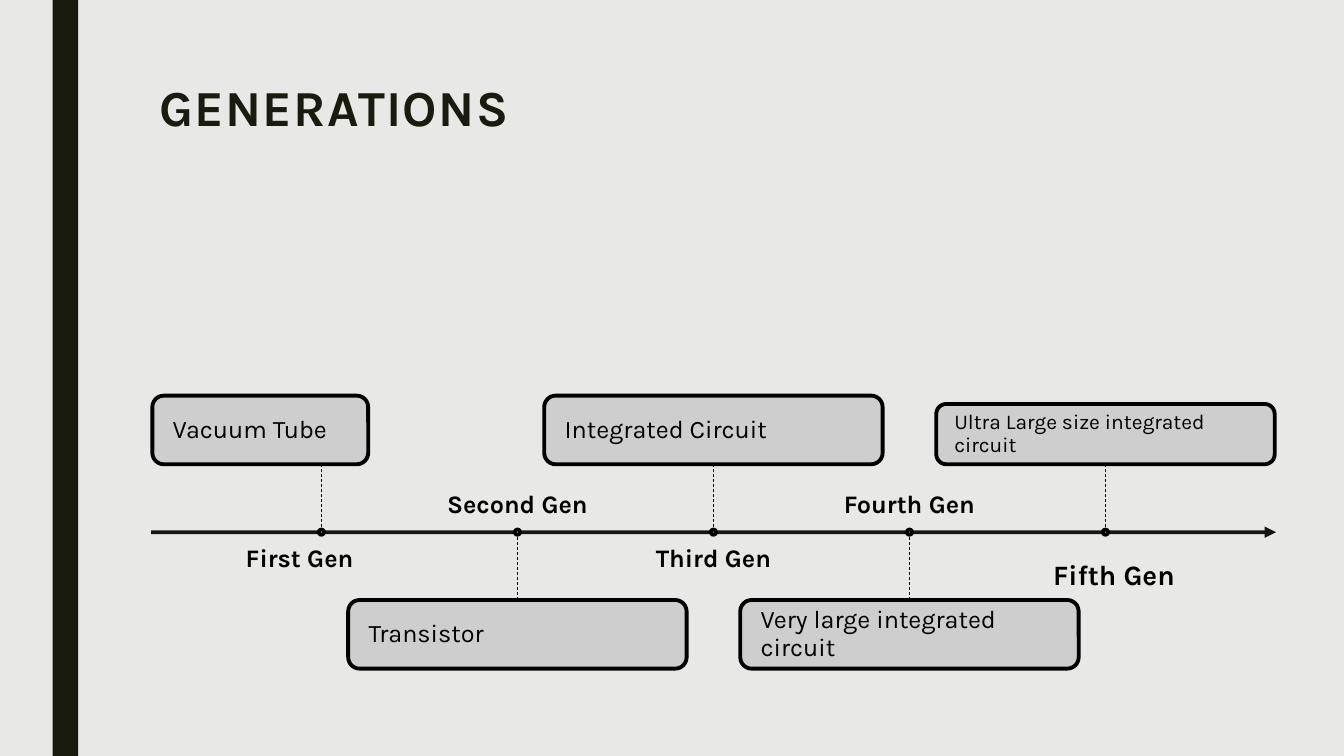
from lxml import etree
from pptx import Presentation
from pptx.dml.color import RGBColor
from pptx.enum.dml import MSO_LINE
from pptx.enum.shapes import MSO_CONNECTOR, MSO_SHAPE
from pptx.enum.text import MSO_ANCHOR, PP_ALIGN
from pptx.oxml.ns import qn
from pptx.util import Cm, Pt

RECTANGLE, ROUNDED, OVAL = MSO_SHAPE.RECTANGLE, MSO_SHAPE.ROUNDED_RECTANGLE, MSO_SHAPE.OVAL
TOP, MIDDLE, BOTTOM = MSO_ANCHOR.TOP, MSO_ANCHOR.MIDDLE, MSO_ANCHOR.BOTTOM
LEFT, CENTER = PP_ALIGN.LEFT, PP_ALIGN.CENTER
DASH = MSO_LINE.DASH
STRAIGHT = MSO_CONNECTOR.STRAIGHT

COLORS = {"background": "E8E8E7", "dark": "191B0E", "black": "000000",
          "box": "CCCCCC", "white": "FFFFFF"}

# Timeline geometry in centimetres
AXIS_LEFT, AXIS_RIGHT, AXIS_Y = 3.81, 32.16, 13.41
FIRST_X, STEP = 8.1, 4.94
STEM = 1.71
BOX_WIDTH, BOX_HEIGHT = 8.53, 1.73
LABEL_WIDTH, LABEL_HEIGHT, LABEL_GAP = 7.5, 1.02, 0.34
DOT = 0.13

# Label, box text, and values that differ from the standard box
GENERATIONS = [
    ("First Gen", "Vacuum Tube", {"left": 3.84, "width": 5.44}),
    ("Second Gen", "Transistor", {}),
    ("Third Gen", "Integrated Circuit", {}),
    ("Fourth Gen", "Very large integrated circuit", {}),
    ("Fifth Gen", "Ultra Large size integrated circuit",
     {"height": 1.52, "size": 15, "inset": 0.38}),
]


class TimelineSlide:
    font_name = "Karla"
    line_width = 2.75

    def __init__(self, presentation):
        self.slide = presentation.slides.add_slide(presentation.slide_layouts[6])
        self.shapes = self.slide.shapes
        self.paint(self.slide.background.fill, "background")

    def paint(self, fill, color, alpha=None):
        fill.solid()
        fill.fore_color.rgb = RGBColor.from_string(COLORS[color])
        if alpha:
            color_element = fill._xPr.find(".//" + qn("a:srgbClr"))
            etree.SubElement(color_element, qn("a:alpha"), val=str(alpha * 1000))

    def fill_text(self, shape, text, size=18, bold=False, color="black", align=LEFT,
                  anchor=TOP, inset=0.0, spacing=0.9, tracking=None):
        frame = shape.text_frame
        margins = dict.fromkeys(
            ("margin_left", "margin_right", "margin_top", "margin_bottom"), Cm(inset))
        for name, value in {"word_wrap": True, "vertical_anchor": anchor, **margins}.items():
            setattr(frame, name, value)
        paragraph = frame.paragraphs[0]
        paragraph.alignment = align
        paragraph.line_spacing = spacing
        run = paragraph.add_run()
        run.text = text
        font_values = {"name": self.font_name, "size": Pt(size), "bold": bold}
        for name, value in font_values.items():
            setattr(run.font, name, value)
        self.paint(run.font.fill, color)
        if tracking:
            run.font._element.set("spc", str(tracking * 100))

    def text(self, left, top, width, height, text, **style):
        shape = self.shapes.add_textbox(Cm(left), Cm(top), Cm(width), Cm(height))
        self.fill_text(shape, text, **style)

    def shape(self, kind, left, top, width, height, fill, alpha=None, outlined=True):
        shape = self.shapes.add_shape(kind, Cm(left), Cm(top), Cm(width), Cm(height))
        shape.shadow.inherit = False
        self.paint(shape.fill, fill, alpha)
        if outlined:
            self.paint(shape.line.fill, "black")
            shape.line.width = Pt(self.line_width)
        else:
            shape.line.fill.background()
        return shape

    def line(self, start, end, width, alpha=None, dash=None, arrow=False):
        connector = self.shapes.add_connector(STRAIGHT, *map(Cm, start + end))
        self.paint(connector.line.fill, "black", alpha)
        connector.line.width = Pt(width)
        if dash:
            connector.line.dash_style = dash
        properties = connector._element.spPr
        if arrow:
            etree.SubElement(properties.find(qn("a:ln")), qn("a:tailEnd"), type="triangle")
        etree.SubElement(properties, qn("a:effectLst"))

    def box(self, center, above, text, left=None, width=BOX_WIDTH, height=BOX_HEIGHT,
            size=18, inset=0.43):
        if left is None:
            left = center - width / 2
        top = AXIS_Y - STEM - height if above else AXIS_Y + STEM
        shape = self.shape(ROUNDED, left, top, width, height, "box", alpha=90)
        self.fill_text(shape, text, size=size, inset=inset, anchor=MIDDLE)

    def label(self, center, below, text):
        top = AXIS_Y + LABEL_GAP if below else AXIS_Y - LABEL_GAP - LABEL_HEIGHT
        self.text(center - LABEL_WIDTH / 2, top, LABEL_WIDTH, LABEL_HEIGHT, text,
                  bold=True, align=CENTER, anchor=TOP if below else BOTTOM)


def main():
    presentation = Presentation()
    presentation.slide_width, presentation.slide_height = Cm(33.87), Cm(19.05)
    timeline = TimelineSlide(presentation)

    # Side bar and title
    timeline.shape(RECTANGLE, 1.33, 0, 0.64, 19.05, "dark", outlined=False)
    timeline.text(3.81, 1.9, 12.95, 6.6, "GENERATIONS", size=36, bold=True,
                  color="dark", inset=0.2, spacing=0.89, tracking=1)

    # Time axis
    timeline.line((AXIS_LEFT, AXIS_Y), (AXIS_RIGHT, AXIS_Y), timeline.line_width,
                  alpha=90, arrow=True)

    # Generations, alternating above and below the axis
    for index, (label, text, box_values) in enumerate(GENERATIONS):
        center = FIRST_X + index * STEP
        above = index % 2 == 0
        timeline.box(center, above, text, **box_values)
        stem_end = AXIS_Y - STEM if above else AXIS_Y + STEM
        timeline.line((center, AXIS_Y), (center, stem_end), 0.5, dash=DASH)
        timeline.shape(OVAL, center - DOT / 2, AXIS_Y - DOT / 2, DOT, DOT, "white")
        if index == 0:
            timeline.label(center - 0.55, above, label)
        elif index < len(GENERATIONS) - 1:
            timeline.label(center, above, label)
        else:
            timeline.text(26.29, 13.8, 4.88, 1.12, label, size=20, bold=True,
                          inset=0.25, spacing=1.0)

    presentation.save("out.pptx")


if __name__ == "__main__":
    main()
